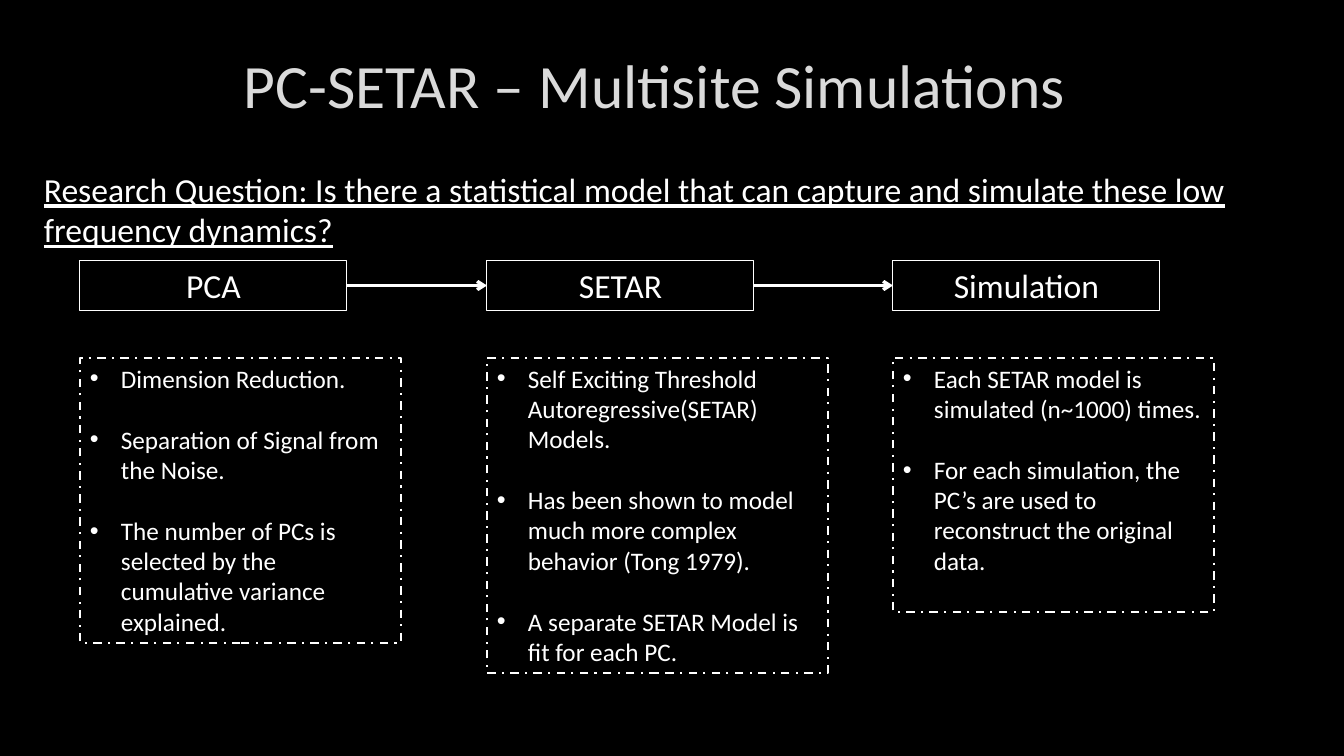
from lxml import etree
from pptx import Presentation, util as u
from pptx.dml.color import RGBColor
from pptx.enum import dml, shapes, text
from pptx.oxml.ns import qn

SCALE = u.Inches(1) / 100.8
THEME = {
    "font": "Calibri",
    "back": RGBColor(0, 0, 0),
    "ink": RGBColor(255, 255, 255),
    "title": RGBColor(0xDA, 0xDA, 0xDA),
    "big": 44, "mid": 24, "small": 18,
}


def px(*nums):
    return [round(n * SCALE) for n in nums]


def write(shape, lines, size, color="ink", align=text.PP_ALIGN.LEFT):
    frame = shape.text_frame
    frame.word_wrap = True
    frame.text = "\n".join(lines)
    for para in frame.paragraphs:
        para.alignment = align
        para.font.name = THEME["font"]
        para.font.size = u.Pt(THEME[size])
        para.font.color.rgb = THEME[color]
    return frame


deck = Presentation()
deck.slide_width, deck.slide_height = px(1344, 756)
slide = deck.slides.add_slide(deck.slide_layouts[6])
slide.background.fill.solid()
slide.background.fill.fore_color.rgb = THEME["back"]
items = slide.shapes

# Title and research question
title = items.add_textbox(*px(61, 22, 1188, 123))
frame = write(title, ["PC-SETAR – Multisite Simulations"], "big", "title",
              text.PP_ALIGN.CENTER)
frame.vertical_anchor = text.MSO_ANCHOR.MIDDLE

query = items.add_textbox(*px(34, 164, 1230, 92))
frame = write(query, ["Research Question: Is there a statistical model that can "
                      "capture and simulate these low frequency dynamics?"], "mid")
frame.paragraphs[0].font.underline = True

# Steps: name, left, note width, note height, notes
steps = [
    ("PCA", 80, 321, 285, [
        "Dimension Reduction.",
        "Separation of Signal from the Noise.",
        "The number of PCs is selected by the cumulative variance explained."]),
    ("SETAR", 487, 341, 315, [
        "Self Exciting Threshold Autoregressive(SETAR) Models.",
        "Has been shown to model much more complex behavior (Tong 1979).",
        "A separate SETAR Model is fit for each PC."]),
    ("Simulation", 893, 321, 254, [
        "Each SETAR model is simulated (n~1000) times.",
        "For each simulation, the PC’s are used to reconstruct the original data."]),
]
heads = []
for name, left, wide, high, notes in steps:
    head = items.add_shape(shapes.MSO_SHAPE.RECTANGLE, *px(left, 260, 267, 51))
    write(head, [name], "mid", align=text.PP_ALIGN.CENTER)
    head.line.width = u.Pt(0.75)
    heads.append(head)

    note = items.add_shape(shapes.MSO_SHAPE.RECTANGLE, *px(left, 358, wide, high))
    frame = write(note, notes, "small")
    frame.vertical_anchor = text.MSO_ANCHOR.TOP
    note.line.width = u.Pt(1.5)
    note.line.dash_style = dml.MSO_LINE.DASH_DOT

    for box in (head, note):
        box.shadow.inherit = False
        box.fill.background()
        box.line.color.rgb = THEME["ink"]

    # Bullets, one blank line's height apart
    for row, para in enumerate(frame.paragraphs):
        para.space_before = u.Pt(22 if row else 0)
        props = para._p.get_or_add_pPr()
        indent = px(31)[0]
        props.set("marL", str(indent))
        props.set("indent", str(-indent))
        etree.SubElement(props, qn("a:buFont")).set("typeface", "Arial")
        etree.SubElement(props, qn("a:buChar")).set("char", "•")
        props.append(props.find(qn("a:defRPr")))

# Arrows between steps
for start, end in zip(heads, heads[1:]):
    arrow = items.add_connector(shapes.MSO_CONNECTOR.STRAIGHT, 0, 0, 0, 0)
    arrow.begin_connect(start, 3)
    arrow.end_connect(end, 1)
    arrow.line.color.rgb = THEME["ink"]
    arrow.line.width = u.Pt(2.25)
    tip = etree.SubElement(arrow.line._get_or_add_ln(), qn("a:tailEnd"))
    tip.set("type", "arrow")
    etree.SubElement(arrow._element.spPr, qn("a:effectLst"))

deck.save("out.pptx")
